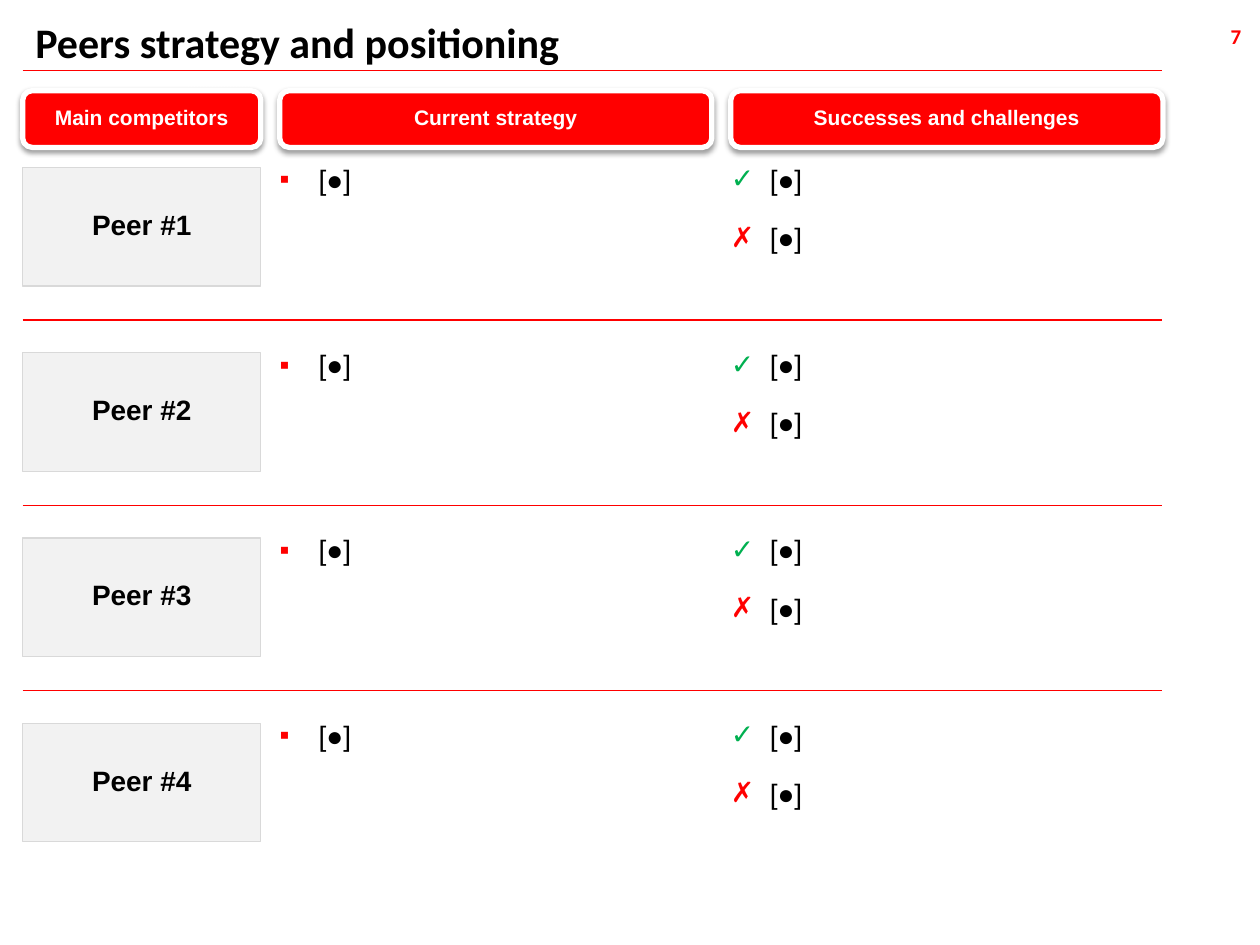
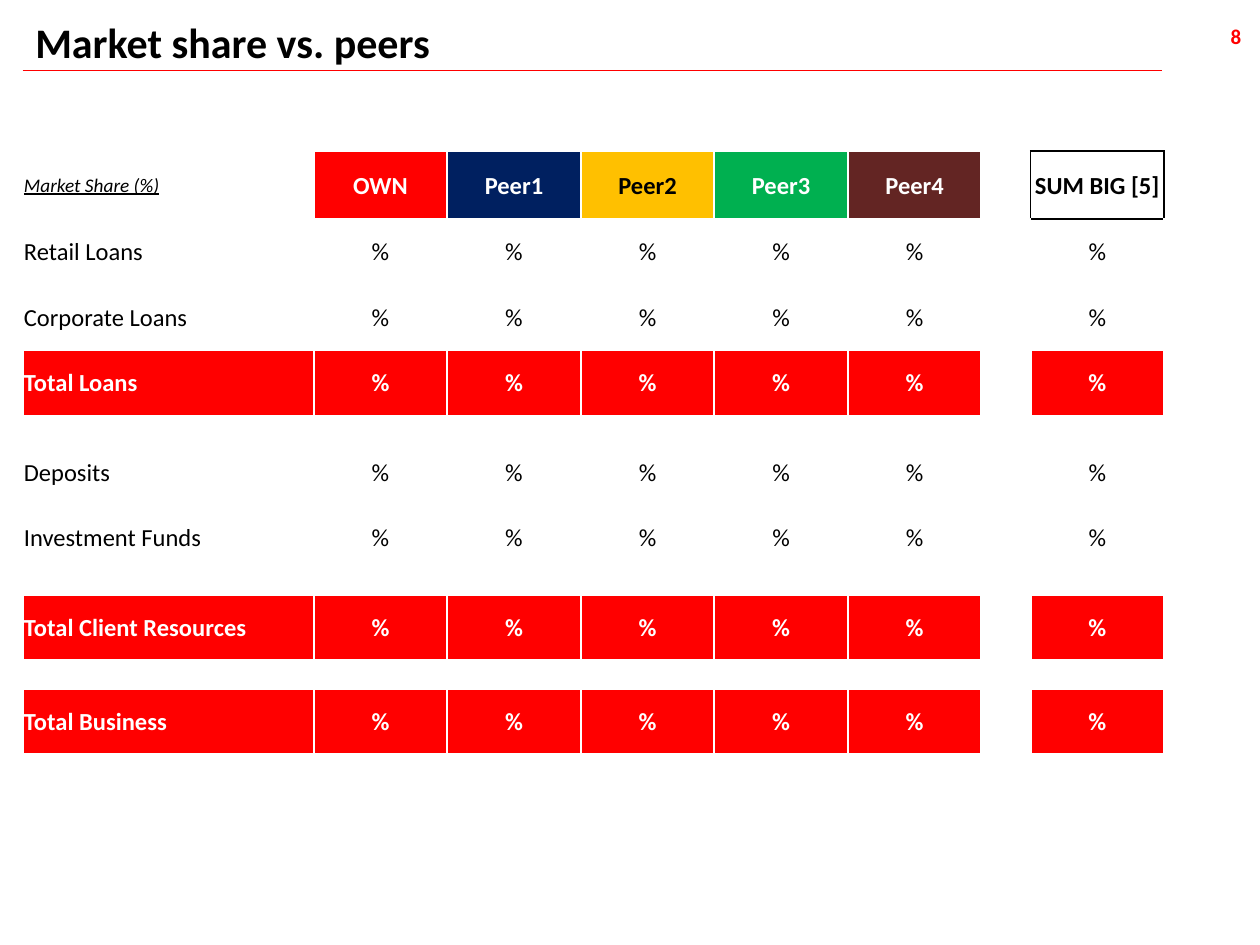
from itertools import accumulate
from lxml.etree import SubElement as Sub
from pptx import Presentation
from pptx.dml.color import RGBColor as RGB
from pptx.enum.shapes import MSO_CONNECTOR as Conn, MSO_SHAPE as Shape
from pptx.enum.text import MSO_ANCHOR as Anchor, MSO_AUTO_SIZE as Fit, PP_ALIGN as Align
from pptx.oxml.ns import qn
from pptx.util import Emu, Inches as In, Pt

RED = RGB(255, 0, 0)
GREEN = RGB(0, 176, 80)
NAVY = RGB(0, 32, 96)
GOLD = RGB(255, 192, 0)
WINE = RGB(99, 37, 35)
BLACK = RGB(0, 0, 0)
WHITE = RGB(255, 255, 255)
PALE = RGB(242, 242, 242)
GREY = RGB(217, 217, 217)

FIRST = 7
TITLES = ["Peers strategy and positioning", "Market share vs. peers"]
HEADS = ["Main competitors", "Current strategy", "Successes and challenges"]
PEERS = ["Peer #1", "Peer #2", "Peer #3", "Peer #4"]
ITEM = "[●]"
NOTES = [[("▪", RED)], [("✓", GREEN), ("✗", RED)]]

BANKS = [("OWN", RED, WHITE), ("Peer1", NAVY, WHITE), ("Peer2", GOLD, BLACK),
         ("Peer3", GREEN, WHITE), ("Peer4", WINE, WHITE), None,
         ("SUM BIG [5]", WHITE, BLACK)]
ROWS = [("Market Share (%)", 0.54), ("Retail Loans", 0.52), ("Corporate Loans", 0.52),
        ("Total Loans", 0.52), ("", 0.19), ("Deposits", 0.52), ("Investment Funds", 0.52),
        ("", 0.19), ("Total Client Resources", 0.52), ("", 0.23), ("Total Business", 0.52)]

LEFT, RIGHT = 0.18, 9.22
GAP = 0.15
COLS = [1.89, 3.43, 3.43]
EDGES = [LEFT + x for x in accumulate([0] + [w + GAP for w in COLS[:-1]])]
TOP, STEP, TALL = 1.33, 1.47, 0.94
WIDTHS = [2.31] + [1.06] * 5 + [0.39, 1.06]


def write(frame, text, size=16, font="Arial", color=BLACK, bold=False, italic=False,
          under=False, align=Align.LEFT, anchor=Anchor.TOP, inset=(0, 0, 0, 0),
          space=None, marks=(None,)):
    frame.word_wrap = True
    frame.vertical_anchor = anchor
    (frame.margin_left, frame.margin_top,
     frame.margin_right, frame.margin_bottom) = map(In, inset)
    for i, mark in enumerate(marks):
        para = frame.add_paragraph() if i else frame.paragraphs[0]
        para.alignment = align
        if space:
            para.line_spacing = space
        if i:
            para.space_before = Pt(17)
        if mark:
            props = para._p.get_or_add_pPr()
            props.set("marL", str(In(0.31)))
            props.set("indent", str(-In(0.31)))
            tint = Sub(props, qn("a:buClr"))
            Sub(tint, qn("a:srgbClr"), val=str(mark[1]))
            Sub(props, qn("a:buFont"), typeface="Arial")
            Sub(props, qn("a:buChar"), char=mark[0])
        run = para.add_run()
        run.text = text
        face = run.font
        face.size, face.name, face.bold = Pt(size), font, bold
        face.italic, face.underline = italic, under
        face.color.rgb = color


def rule(slide, y):
    line = slide.shapes.add_connector(Conn.STRAIGHT, In(LEFT), In(y), In(RIGHT), In(y))
    line.line.color.rgb = RED
    line.line.width = Pt(0.75)
    Sub(line._element.spPr, qn("a:effectLst"))


def start(deck, title, num):
    slide = deck.slides.add_slide(deck.slide_layouts[5])
    head = slide.shapes.title
    head.left, head.top, head.width, head.height = map(In, (LEFT, 0.08, 9.57, 0.5))
    head.text_frame.auto_size = Fit.NONE
    write(head.text_frame, title, size=24, font="Calibri", bold=True,
          inset=(0.1, 0.05, 0.1, 0.05))
    page = slide.shapes.add_textbox(In(9.49), In(0.14), In(0.42), In(0.31))
    write(page.text_frame, str(num), size=12, font="Calibri", color=RED, bold=True,
          align=Align.RIGHT, inset=(0.06, 0.05, 0.06, 0.05))
    rule(slide, 0.56)
    return slide


def block(shapes, kind, box, text, fill, edge, width, **form):
    item = shapes.add_shape(kind, *map(In, box))
    item.shadow.inherit = False
    item.fill.solid()
    item.fill.fore_color.rgb = fill
    item.line.color.rgb = edge
    item.line.width = Pt(width)
    write(item.text_frame, text, bold=True, align=Align.CENTER,
          anchor=Anchor.MIDDLE, space=0.85, **form)
    return item


def shade(item):
    fx = item._element.spPr.find(qn("a:effectLst"))
    drop = Sub(fx, qn("a:outerShdw"), blurRad=str(Pt(3.1)), dist=str(Pt(1.6)),
               dir="5400000", algn="t", rotWithShape="0")
    tint = Sub(drop, qn("a:srgbClr"), val=str(BLACK))
    Sub(tint, qn("a:alpha"), val="38000")


def peers(slide):
    for x, wide, text in zip(EDGES, COLS, HEADS):
        shade(block(slide.shapes, Shape.ROUNDED_RECTANGLE, (x, 0.72, wide, 0.45),
                    text, RED, WHITE, 3, size=12, color=WHITE))
    for i, peer in enumerate(PEERS):
        y = TOP + i * STEP
        if i:
            rule(slide, y - 0.26)
        group = slide.shapes.add_group_shape().shapes
        block(group, Shape.RECTANGLE, (EDGES[0], y, COLS[0], TALL), peer, PALE, GREY, 0.75)
        for x, wide, marks in zip(EDGES[1:], COLS[1:], NOTES):
            box = group.add_textbox(*map(In, (x, y, wide, TALL)))
            write(box.text_frame, ITEM, space=0.85, marks=marks)


def border(cell, sides, color, width):
    props = cell._tc.get_or_add_tcPr()
    for side in sides:
        line = Sub(props, qn("a:ln" + side), w=str(Pt(width)))
        Sub(Sub(line, qn("a:solidFill")), qn("a:srgbClr"), val=str(color))


def style(r, c, label):
    total = label.startswith("Total")
    ink = WHITE if total else BLACK
    if c == 0:
        form = dict(size=14 if r else 11, italic=not r, under=not r)
        return label, RED if total else None, dict(form, color=ink, bold=total)
    bank = BANKS[c - 1]
    if not bank or not label:
        return "", None, {}
    name, fill, tint = bank
    form = dict(size=14, align=Align.CENTER)
    if r == 0:
        return name, fill, dict(form, color=tint, bold=True)
    return "%", RED if total else None, dict(form, color=ink, bold=total)


def shares(slide):
    high = [h for _, h in ROWS]
    box = map(In, (LEFT, 1.2, sum(WIDTHS), sum(high)))
    grid = slide.shapes.add_table(len(ROWS), len(WIDTHS), *box).table
    grid.first_row = grid.horz_banding = False
    for col, wide in zip(grid.columns, WIDTHS):
        col.width = In(wide)
    last = len(WIDTHS) - 1
    frames = {(0, last): "LRTB", (0, last - 1): "R", (1, last): "T"}
    for r, (label, tall) in enumerate(ROWS):
        grid.rows[r].height = In(tall)
        for c in range(len(WIDTHS)):
            cell = grid.cell(r, c)
            text, fill, form = style(r, c, label)
            if (r, c) in frames:
                border(cell, frames[r, c], BLACK, 1)
            elif fill:
                border(cell, "LRTB", WHITE, 1.5)
            if fill:
                cell.fill.solid()
                cell.fill.fore_color.rgb = fill
            else:
                cell.fill.background()
            cell.margin_left = cell.margin_right = cell.margin_top = In(0.01)
            cell.margin_bottom = Emu(0)
            cell.vertical_anchor = Anchor.MIDDLE
            if text:
                write(cell.text_frame, text, font="Calibri", **form)
                cell.margin_left = cell.margin_right = cell.margin_top = In(0.01)
                cell.vertical_anchor = Anchor.MIDDLE
            else:
                Sub(cell.text_frame.paragraphs[0]._p, qn("a:endParaRPr"), sz="800")


def main():
    deck = Presentation()
    deck.slide_width, deck.slide_height = In(10), In(7.5)
    for i, (title, fill) in enumerate(zip(TITLES, (peers, shares))):
        fill(start(deck, title, FIRST + i))
    deck.save("out.pptx")


if __name__ == "__main__":
    main()
